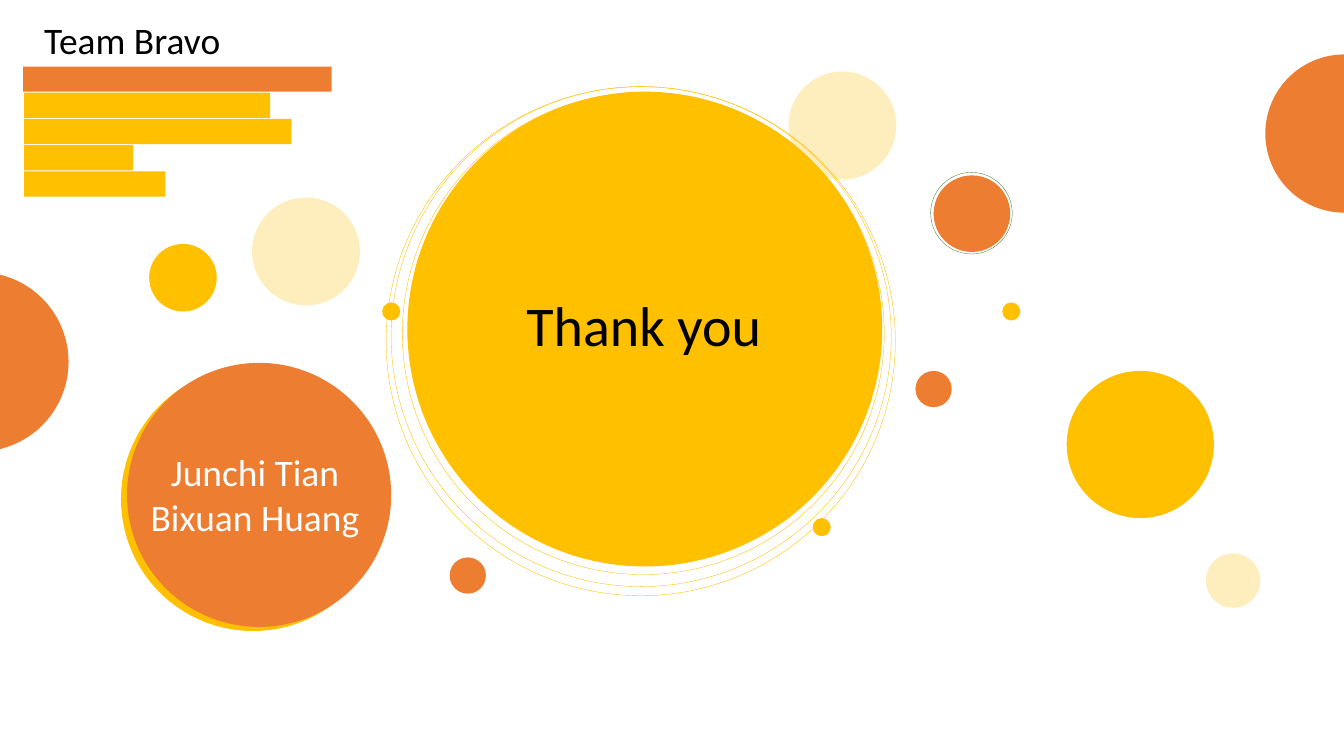
from typing import NamedTuple, Optional

from pptx import Presentation
from pptx import util as u
from pptx.dml.color import RGBColor
from pptx.enum import shapes, text
from pptx.oxml.ns import qn
from lxml import etree

AMBER = RGBColor(0xFF, 0xC0, 0x00)
ORANGE = RGBColor(0xED, 0x7D, 0x31)
GREEN = RGBColor(0x54, 0x82, 0x35)
BLACK = RGBColor(0x00, 0x00, 0x00)
WHITE = RGBColor(0xFF, 0xFF, 0xFF)
FONT = "Calibri"
PALE_OPACITY = 26


class Circle(NamedTuple):
    left: float
    top: float
    diameter: float
    fill: Optional[RGBColor] = None
    opacity: int = 100
    line: Optional[RGBColor] = None


class Bar(NamedTuple):
    left: float
    width: float
    color: RGBColor


class Label(NamedTuple):
    lines: tuple[str, ...]
    left: float
    top: float
    width: float
    height: float
    size: float
    color: RGBColor
    alignment: text.PP_ALIGN = text.PP_ALIGN.CENTER
    wrap: bool = True


NAMES_SHADOW = Circle(1.2, 3.64, 2.62, AMBER)
BARS = [
    Bar(0.23, 3.06, ORANGE),
    Bar(0.24, 2.44, AMBER),
    Bar(0.24, 2.65, AMBER),
    Bar(0.24, 1.08, AMBER),
    Bar(0.24, 1.4, AMBER),
]
BAR_TOP, BAR_PITCH, BAR_HEIGHT = 0.66, 0.26, 0.25
CIRCLES = [
    Circle(-1.1, 2.7, 1.78, ORANGE),
    Circle(4.04, 0.91, 4.71, AMBER),
    Circle(1.26, 3.6, 2.62, ORANGE),
    Circle(1.48, 2.42, 0.67, AMBER),
    Circle(2.5, 1.96, 1.07, AMBER, PALE_OPACITY),
    Circle(7.82, 0.71, 1.07, AMBER, PALE_OPACITY),
    Circle(11.96, 5.49, 0.54, AMBER, PALE_OPACITY),
    Circle(10.58, 3.68, 1.46, AMBER),
    Circle(9.08, 3.68, 0.36, ORANGE),
    Circle(9.26, 1.74, 0.76, ORANGE),
    Circle(12.55, 0.54, 1.57, ORANGE),
    Circle(4.46, 5.53, 0.36, ORANGE),
    Circle(8.06, 5.14, 0.18, AMBER),
    Circle(3.99, 0.92, 4.78, line=AMBER),
    Circle(3.83, 0.86, 5.05, line=AMBER),
    Circle(3.88, 0.86, 4.96, line=AMBER),
    Circle(3.79, 3, 0.18, AMBER),
    Circle(9.94, 3, 0.18, AMBER),
    Circle(9.23, 1.71, 0.81, line=GREEN),
]
TEAM = Label(("Team Bravo",), 0.34, 0.12, 1.96, 0.55, 26.7, BLACK, text.PP_ALIGN.LEFT, False)
THANKS = Label(("Thank you",), 4.68, 2.83, 3.41, 0.77, 40, BLACK)
NAMES = Label(("Junchi Tian", "Bixuan Huang"), 1.3, 4.41, 2.46, 1, 26.7, WHITE)


def set_attributes(target: object, values: dict) -> None:
    for name, value in values.items():
        setattr(target, name, value)


def draw_circle(slide, circle: Circle) -> None:
    diameter = u.Inches(circle.diameter)
    shape = slide.shapes.add_shape(
        shapes.MSO_SHAPE.OVAL, u.Inches(circle.left), u.Inches(circle.top), diameter, diameter
    )
    shape.shadow.inherit = False
    if circle.fill is None:
        shape.fill.background()
    else:
        shape.fill.solid()
        shape.fill.fore_color.rgb = circle.fill
    if circle.opacity < 100:
        color = next(shape.element.spPr.iter(qn("a:srgbClr")))
        etree.SubElement(color, qn("a:alpha"), val=str(circle.opacity * 1000))
    if circle.line is None:
        shape.line.fill.background()
    else:
        shape.line.color.rgb = circle.line
        shape.line.width = u.Pt(0.25)


def draw_bar(slide, bar: Bar, row: int) -> None:
    shape = slide.shapes.add_shape(
        shapes.MSO_SHAPE.RECTANGLE,
        u.Inches(bar.left),
        u.Inches(BAR_TOP + row * BAR_PITCH),
        u.Inches(bar.width),
        u.Inches(BAR_HEIGHT),
    )
    shape.shadow.inherit = False
    shape.fill.solid()
    shape.fill.fore_color.rgb = bar.color
    shape.line.fill.background()


def write_label(shape, label: Label) -> None:
    set_attributes(shape, {
        "left": u.Inches(label.left),
        "top": u.Inches(label.top),
        "width": u.Inches(label.width),
        "height": u.Inches(label.height),
    })
    frame = shape.text_frame
    frame.text = "\n".join(label.lines)
    set_attributes(frame, {
        "word_wrap": label.wrap,
        "auto_size": text.MSO_AUTO_SIZE.SHAPE_TO_FIT_TEXT,
        "vertical_anchor": text.MSO_ANCHOR.TOP,
    })
    for paragraph in frame.paragraphs:
        paragraph.alignment = label.alignment
        font = paragraph.runs[0].font
        set_attributes(font, {"name": FONT, "size": u.Pt(label.size)})
        font.color.rgb = label.color


def add_label(slide, label: Label) -> None:
    write_label(slide.shapes.add_textbox(0, 0, 0, 0), label)


def main() -> None:
    presentation = Presentation()
    set_attributes(presentation, {
        "slide_width": u.Inches(13.33),
        "slide_height": u.Inches(7.5),
    })
    slide = presentation.slides.add_slide(presentation.slide_layouts.get_by_name("Title Only"))
    title = slide.shapes.title

    draw_circle(slide, NAMES_SHADOW)
    for row, bar in enumerate(BARS):
        draw_bar(slide, bar, row)
    add_label(slide, TEAM)
    for circle in CIRCLES:
        draw_circle(slide, circle)
    write_label(title, THANKS)
    title.element.getparent().append(title.element)
    add_label(slide, NAMES)

    presentation.save("out.pptx")


main()
